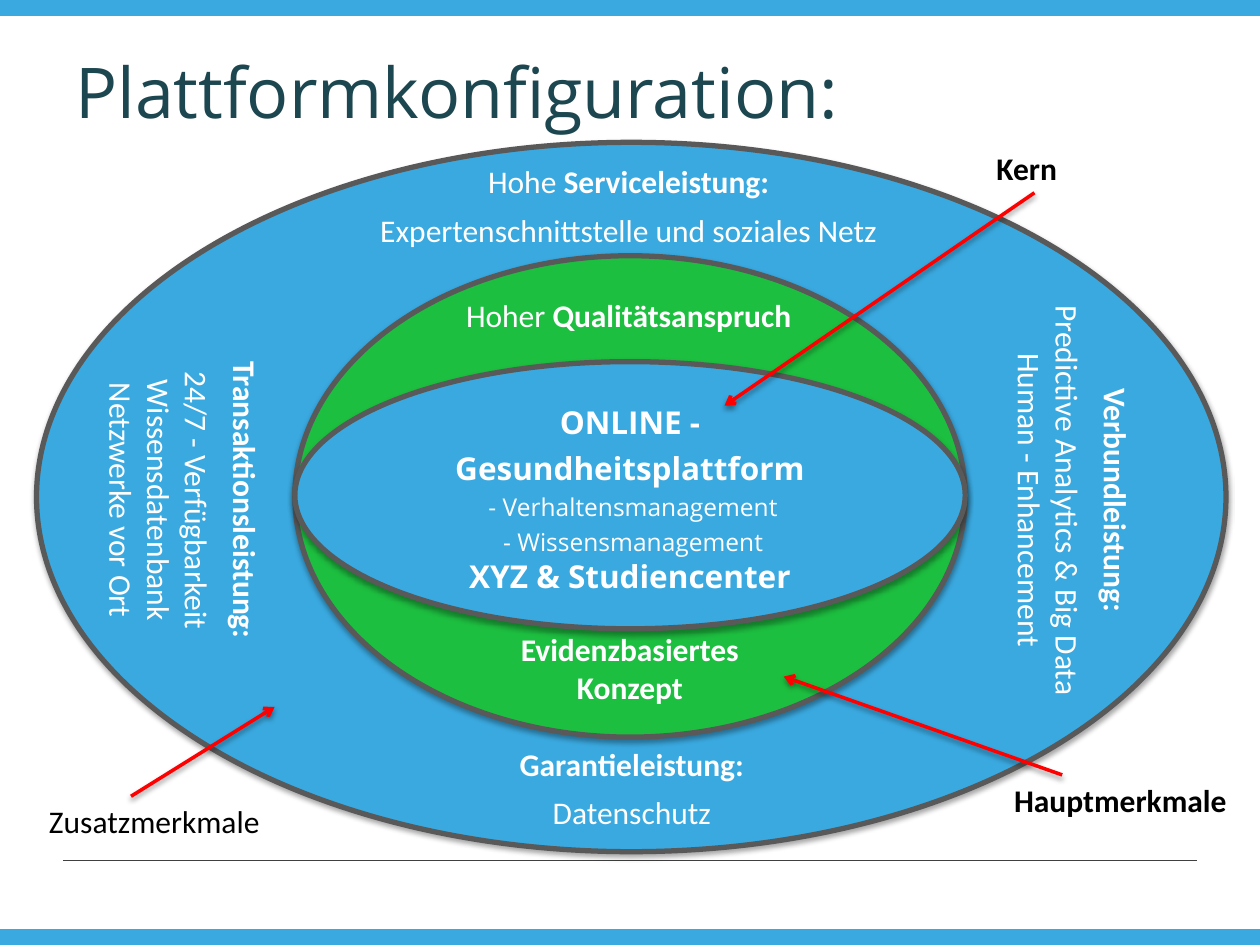
from lxml import etree
from pptx import Presentation
from pptx.dml.color import RGBColor
from pptx.enum import shapes, text
from pptx.oxml.ns import qn
from pptx.util import Inches, Pt

BLUE = RGBColor(0x3A, 0xA9, 0xE0)
GREEN = RGBColor(0x1D, 0xBF, 0x40)
GREY = RGBColor(0x59, 0x59, 0x59)
DARK_GREY = RGBColor(0x40, 0x40, 0x40)
PETROL = RGBColor(0x1D, 0x47, 0x50)
RED = RGBColor(0xFF, 0x00, 0x00)
WHITE = RGBColor(0xFF, 0xFF, 0xFF)
BLACK = RGBColor(0x00, 0x00, 0x00)


def set_shadow(item, opacity):
    properties = item._element.spPr
    effects = properties.find(qn("a:effectLst"))
    if effects is None:
        effects = etree.SubElement(properties, qn("a:effectLst"))
    if opacity:
        shadow = etree.SubElement(effects, qn("a:outerShdw"), blurRad="40000",
                                  dist="23000", dir="5400000", rotWithShape="0")
        tint = etree.SubElement(shadow, qn("a:srgbClr"), val="000000")
        etree.SubElement(tint, qn("a:alpha"), val=str(opacity * 1000))


def write(frame, paragraphs, color, font="Calibri", size=18, align=None, after=0):
    for index, runs in enumerate(paragraphs):
        paragraph = frame.paragraphs[0] if index == 0 else frame.add_paragraph()
        paragraph.alignment = align
        if index == 0 and after:
            paragraph.space_after = Pt(after)
        for words, bold in runs:
            run = paragraph.add_run()
            run.text = words
            run.font.name = font
            run.font.size = Pt(size)
            run.font.bold = bold
            run.font.color.rgb = color


prs = Presentation()
prs.slide_width, prs.slide_height = Inches(10), Inches(7.5)
slide = prs.slides.add_slide(prs.slide_layouts[6])
CENTER = text.PP_ALIGN.CENTER

for top in (0, 7.38):
    band = slide.shapes.add_shape(shapes.MSO_SHAPE.RECTANGLE, 0, Inches(top), Inches(10), Inches(0.12))
    band.shadow.inherit = False
    band.fill.solid()
    band.fill.fore_color.rgb = BLUE
    band.line.color.rgb = BLUE
    band.line.width = Pt(0.75)

footer_rule = slide.shapes.add_connector(shapes.MSO_CONNECTOR.STRAIGHT, Inches(0.5), Inches(6.83),
                                         Inches(9.5), Inches(6.83))
footer_rule.line.color.rgb = DARK_GREY
footer_rule.line.width = Pt(0.25)
set_shadow(footer_rule, 0)

title = slide.shapes.add_textbox(Inches(0.5), Inches(0.3), Inches(9), Inches(0.83)).text_frame
title.word_wrap = True
title.vertical_anchor = text.MSO_ANCHOR.MIDDLE
write(title, [[("Plattformkonfiguration:", False)]], PETROL, "Open Sans", 40)

rings = []
for left, top, width, height, color in [
    (0.29, 1.13, 9.44, 5.63, BLUE),
    (2.34, 2.03, 5.32, 3.82, GREEN),
    (2.34, 2.87, 5.32, 2.12, BLUE),
]:
    ring = slide.shapes.add_shape(shapes.MSO_SHAPE.OVAL, Inches(left), Inches(top), Inches(width), Inches(height))
    ring.shadow.inherit = False
    ring.fill.solid()
    ring.fill.fore_color.rgb = color
    ring.line.color.rgb = GREY
    ring.line.width = Pt(3)
    set_shadow(ring, 35)
    rings.append(ring)

core = rings[-1].text_frame
core.word_wrap = True
core.vertical_anchor = text.MSO_ANCHOR.MIDDLE
write(core, [
    [("ONLINE - Gesundheitsplattform", True)],
    [(" - Verhaltensmanagement", False)],
    [(" - Wissensmanagement", False)],
    [("XYZ & Studiencenter", True)],
], WHITE, "Open Sans", align=CENTER)
for paragraph in core.paragraphs[:3]:
    paragraph.line_spacing = 1.2
for paragraph in core.paragraphs[1:3]:
    paragraph.runs[0].font.size = Pt(14)

for start_x, start_y, end_x, end_y in [
    (8.21, 1.53, 5.75, 3.22),
    (8.43, 6.15, 6.22, 5.37),
    (1.04, 6.32, 2.18, 5.61),
]:
    pointer = slide.shapes.add_connector(shapes.MSO_CONNECTOR.STRAIGHT, Inches(start_x), Inches(start_y),
                                         Inches(end_x), Inches(end_y))
    pointer.line.color.rgb = RED
    pointer.line.width = Pt(2)
    etree.SubElement(pointer.line._get_or_add_ln(), qn("a:tailEnd"), type="arrow")
    set_shadow(pointer, 38)

for left, top, width, height, rotation, color, align, after, paragraphs in [
    (7.81, 1.13, 0.69, 0.4, 0, BLACK, None, 0, [[("Kern", True)]]),
    (7.95, 6.15, 1.91, 0.4, 0, BLACK, None, 0, [[("Hauptmerkmale", True)]]),
    (0.29, 6.32, 1.89, 0.4, 0, BLACK, None, 0, [[("Zusatzmerkmale", False)]]),
    (3.6, 2.3, 2.82, 0.4, 0, WHITE, None, 0, [[("Hoher", False), (" Qualitätsanspruch", True)]]),
    (4, 4.95, 2, 0.7, 0, WHITE, CENTER, 0, [[("Evidenzbasiertes", True)], [("Konzept", True)]]),
    (6.69, 3.27, 3.34, 1.4, 90, WHITE, CENTER, 6, [
        [("Verbundleistung:", True)],
        [("Predictive Analytics & Big Data", False)],
        [("Human - Enhancement", False)]]),
    (2.89, 1.24, 4.2, 0.79, 0, WHITE, CENTER, 6, [
        [("Hohe", False), (" Serviceleistung:", True)],
        [("Expertenschnittstelle und soziales Netz", False)]]),
    (4.01, 5.86, 2.01, 0.79, 0, WHITE, CENTER, 6, [
        [("Garantieleistung:", True)],
        [("Datenschutz", False)]]),
    (0.23, 3.27, 2.44, 1.4, 90, WHITE, CENTER, 6, [
        [("Transaktionsleistung:", True)],
        [("24/7 - Verfügbarkeit", False)],
        [("Wissensdatenbank", False)],
        [("Netzwerke vor Ort", False)]]),
]:
    label = slide.shapes.add_textbox(Inches(left), Inches(top), Inches(width), Inches(height))
    label.rotation = rotation
    label.text_frame.word_wrap = False
    label.text_frame.auto_size = text.MSO_AUTO_SIZE.SHAPE_TO_FIT_TEXT
    write(label.text_frame, paragraphs, color, align=align, after=after)

prs.save("out.pptx")
